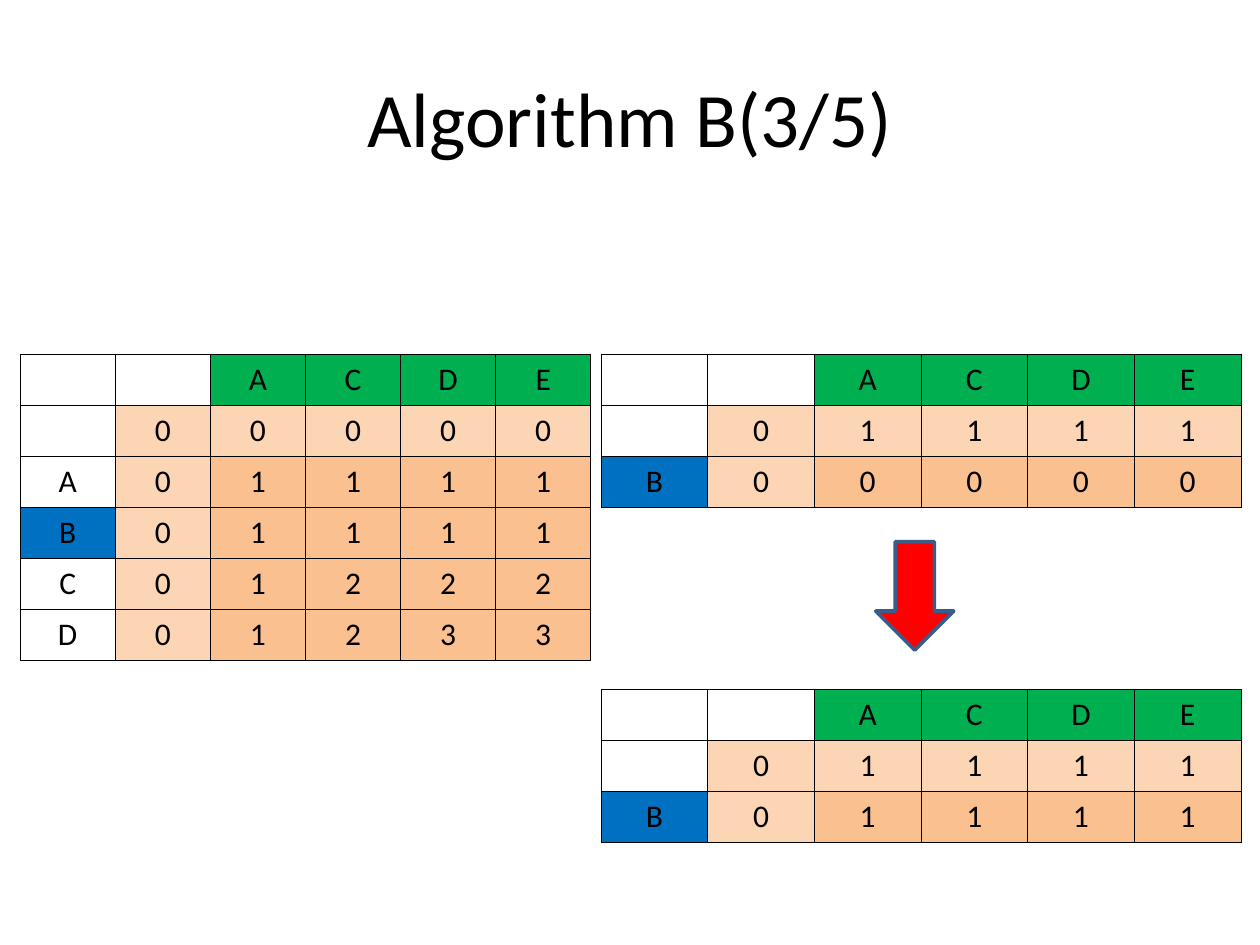
from dataclasses import dataclass

from lxml import etree
from pptx import Presentation
from pptx import util as u
from pptx.dml.color import RGBColor
from pptx.enum import shapes, text
from pptx.oxml.ns import qn

# Content: each matrix is its rows, with the row label first
TITLE = "Algorithm B(3/5)"
LETTERS = ["", "", "A", "C", "D", "E"]
PREFIX_MATRIX = [
    LETTERS,
    ["", 0, 0, 0, 0, 0],
    ["A", 0, 1, 1, 1, 1],
    ["B", 0, 1, 1, 1, 1],
    ["C", 0, 1, 2, 2, 2],
    ["D", 0, 1, 2, 3, 3],
]
ROW_BEFORE = [LETTERS, ["", 0, 1, 1, 1, 1], ["B", 0, 0, 0, 0, 0]]
ROW_AFTER = [LETTERS, ["", 0, 1, 1, 1, 1], ["B", 0, 1, 1, 1, 1]]
CURRENT_LABEL = "B"


@dataclass(frozen=True)
class Theme:
    font: str = "Calibri"
    title_size: float = 44
    cell_size: float = 18
    ink: str = "000000"
    letter: str = "00B050"
    current: str = "0070C0"
    border_value: str = "FCD5B5"
    inner_value: str = "FAC090"
    arrow: str = "FF0000"
    arrow_line: str = "385D8A"
    arrow_line_width: float = 2
    grid_width: float = 0.45


THEME = Theme()

# Layout in inches
SLIDE_W, SLIDE_H = 10, 7.5
MARGIN = SLIDE_W * 0.05
ROW_H = 0.405
TOP, LOWER_TOP = 2.81, 5.47
LEFT, LEFT_W = 0.16, 4.53
RIGHT, RIGHT_W = 4.77, 5.08
ARROW_W, ARROW_H = 0.62, 0.86
ARROW_X, ARROW_Y = 6.95, 4.3
MATRICES = [
    (PREFIX_MATRIX, LEFT, TOP, LEFT_W),
    (ROW_BEFORE, RIGHT, TOP, RIGHT_W),
    (ROW_AFTER, RIGHT, LOWER_TOP, RIGHT_W),
]


def box(*lengths):
    return [u.Inches(length) for length in lengths]


def write(frame, words, size):
    paragraph = frame.paragraphs[0]
    paragraph.alignment = text.PP_ALIGN.CENTER
    run = paragraph.add_run()
    run.text = words
    run.font.name = THEME.font
    run.font.size = u.Pt(size)
    run.font.bold = False
    run.font.color.rgb = RGBColor.from_string(THEME.ink)


def cell_color(row, column, value):
    if row == 0:
        return THEME.letter if value else None
    if column == 0:
        return THEME.current if value == CURRENT_LABEL else None
    return THEME.border_value if 1 in (row, column) else THEME.inner_value


def add_borders(cell):
    properties = cell._tc.get_or_add_tcPr()
    for side in ("a:lnL", "a:lnR", "a:lnT", "a:lnB"):
        line = etree.SubElement(properties, qn(side), w=str(u.Pt(THEME.grid_width)))
        fill = etree.SubElement(line, qn("a:solidFill"))
        etree.SubElement(fill, qn("a:srgbClr"), val=THEME.ink)


def add_matrix(slide, rows, left, top, width):
    columns = len(rows[0])
    table = slide.shapes.add_table(
        len(rows), columns, *box(left, top, width, ROW_H * len(rows))
    ).table
    table.first_row = table.horz_banding = False
    for column in table.columns:
        column.width = u.Inches(width / columns)
    for r, values in enumerate(rows):
        table.rows[r].height = u.Inches(ROW_H)
        for c, value in enumerate(values):
            cell = table.cell(r, c)
            add_borders(cell)
            color = cell_color(r, c, value)
            if color:
                cell.fill.solid()
                cell.fill.fore_color.rgb = RGBColor.from_string(color)
            else:
                cell.fill.background()
            if value != "":
                write(cell.text_frame, str(value), THEME.cell_size)


def main():
    deck = Presentation()
    deck.slide_width, deck.slide_height = box(SLIDE_W, SLIDE_H)
    slide = deck.slides.add_slide(deck.slide_layouts[5])

    # Title
    title = slide.shapes.title
    title.left, title.top, title.width, title.height = box(
        MARGIN, SLIDE_H * 0.04, SLIDE_W - 2 * MARGIN, 1.25
    )
    title.text_frame.vertical_anchor = text.MSO_ANCHOR.MIDDLE
    write(title.text_frame, TITLE, THEME.title_size)

    # Matrices
    for matrix in MATRICES:
        add_matrix(slide, *matrix)

    # Arrow from the row before to the row after
    arrow = slide.shapes.add_shape(
        shapes.MSO_SHAPE.DOWN_ARROW, *box(ARROW_X, ARROW_Y, ARROW_W, ARROW_H)
    )
    arrow.shadow.inherit = False
    arrow.fill.solid()
    arrow.fill.fore_color.rgb = RGBColor.from_string(THEME.arrow)
    arrow.line.color.rgb = RGBColor.from_string(THEME.arrow_line)
    arrow.line.width = u.Pt(THEME.arrow_line_width)

    deck.save("out.pptx")


if __name__ == "__main__":
    main()
